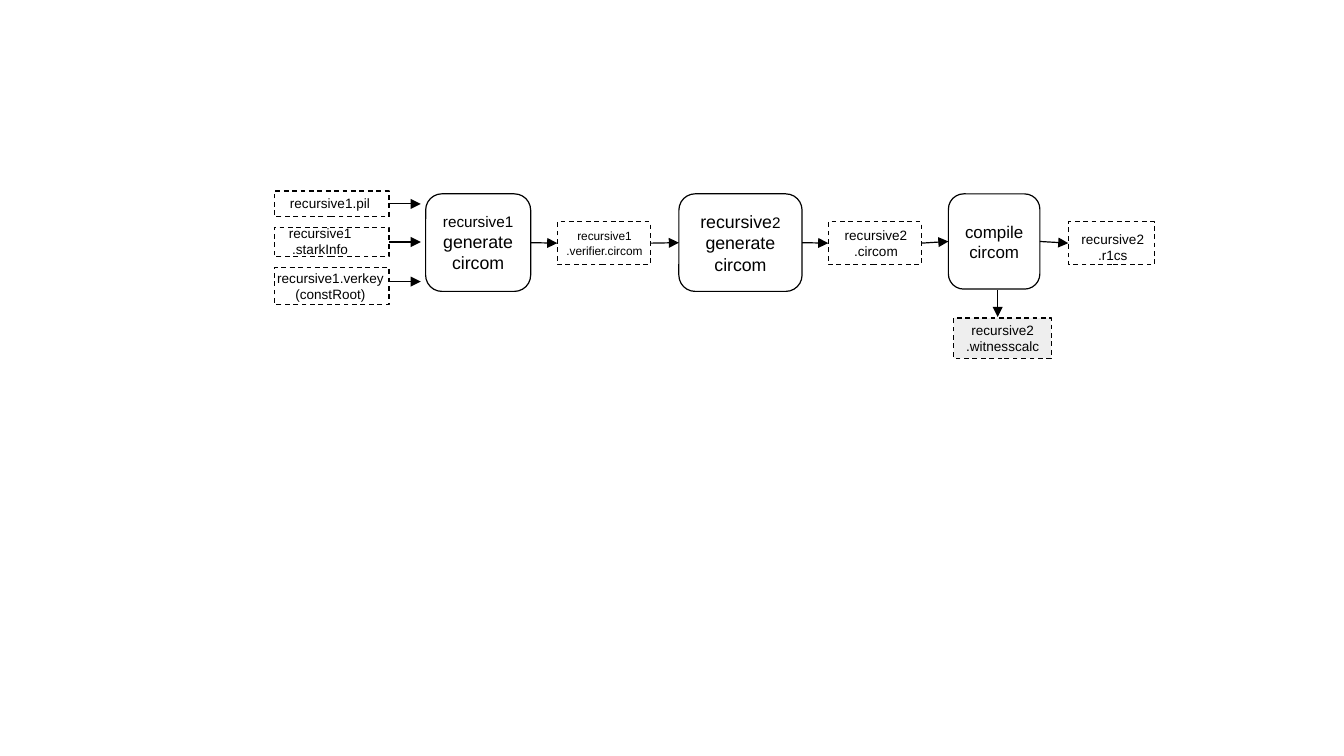
from lxml.etree import SubElement
from pptx import Presentation
from pptx.dml.color import RGBColor
from pptx.enum.dml import MSO_LINE
from pptx.enum.shapes import MSO_CONNECTOR, MSO_SHAPE
from pptx.enum.text import MSO_ANCHOR, PP_ALIGN
from pptx.oxml.ns import qn
from pptx.util import Pt

LEFT, RIGHT = 1, 3
STEP_TOP = 114.5
LABEL_MARGIN = 7.2


def color(value):
    return RGBColor.from_string(value)


def write(box, lines):
    frame = box.text_frame
    frame.word_wrap = True
    frame.vertical_anchor = MSO_ANCHOR.MIDDLE
    for index, (text, size) in enumerate(lines):
        para = frame.paragraphs[0] if index == 0 else frame.add_paragraph()
        para.alignment = PP_ALIGN.CENTER
        para.font.name = "Arial"
        para.font.size = Pt(size)
        para.font.color.rgb = color("000000")
        para.add_run().text = text


def outlined(page, preset, area, fill=None):
    box = page.shapes.add_shape(preset, *map(Pt, area))
    box.shadow.inherit = False
    if fill:
        box.fill.solid()
        box.fill.fore_color.rgb = color(fill)
    else:
        box.fill.background()
    box.line.color.rgb = color("000000")
    box.line.width = Pt(0.71)
    return box


def step(page, left, width, height, lines):
    area = (left, STEP_TOP, width, height)
    box = outlined(page, MSO_SHAPE.ROUNDED_RECTANGLE, area, "FFFFFF")
    write(box, lines)
    return box


def file_box(page, area, lines, size=8, shift=(0, 0), fill=None):
    box = outlined(page, MSO_SHAPE.RECTANGLE, area, fill)
    box.line.dash_style = MSO_LINE.DASH
    left, top, width, height = area
    label = page.shapes.add_textbox(
        Pt(left + shift[0] - LABEL_MARGIN), Pt(top + shift[1]),
        Pt(width + 2 * LABEL_MARGIN), Pt(height))
    write(label, [(text, size) for text in lines])
    return box


def arrow(page, start, end):
    link = page.shapes.add_connector(
        MSO_CONNECTOR.STRAIGHT, *map(Pt, start + end))
    link.line.color.rgb = color("000000")
    link.line.width = Pt(0.71)
    SubElement(link.line._get_or_add_ln(), qn("a:tailEnd"), type="triangle")
    SubElement(link._element.spPr, qn("a:effectLst"))
    return link


def inputs(page, left, width):
    rows = [
        (112.8, 15.2, ["recursive1.pil"], (-1, -0.7), 120.4),
        (134.1, 17.6, ["recursive1", ".starkInfo"], (-6.8, -0.7), 142.9),
        (158.1, 21.6, ["recursive1.verkey", "(constRoot)"], (-0.7, 0), 166.3),
    ]
    right = left + width
    for top, height, lines, shift, level in rows:
        box = file_box(page, (left, top, width, height), lines, shift=shift)
        link = arrow(page, (right, level), (248.4, level))
        if abs(top + height / 2 - level) < 0.1:
            link.begin_connect(box, RIGHT)


def pipeline(page):
    top, height = 131, 25.2
    chain = [
        step(page, 251.3, 62, 57.6,
             [("recursive1", 9), ("generate", 10.5), ("circom", 10.5)]),
        file_box(page, (329, top, 54.9, height),
                 ["recursive1", ".verifier.circom"], 7, (0.4, 0)),
        step(page, 400.8, 72.7, 57.6,
             [("recursive", 10.5), ("generate", 10.5), ("circom", 10.5)]),
        file_box(page, (489, top, 54.9, height),
                 ["recursive2", ".circom"], shift=(0.7, 0)),
        step(page, 559.9, 54, 56.2, [("compile", 10), ("circom", 10)]),
        file_box(page, (630.7, top, 51.1, height),
                 ["recursive2", ".r1cs"], shift=(0.7, 2.2)),
    ]
    digit = chain[2].text_frame.paragraphs[0].add_run()
    digit.text = "2"
    digit.font.size = Pt(9)
    for source, target in zip(chain, chain[1:]):
        link = arrow(page, (0, 0), (0, 0))
        link.begin_connect(source, RIGHT)
        link.end_connect(target, LEFT)


def witness(page):
    file_box(page, (563, 187.8, 57.6, 23.8),
             ["recursive2", ".witnesscalc"], shift=(0.2, 0), fill="EEEEEE")
    arrow(page, (589, 171.4), (589, 187.2))


def main():
    deck = Presentation()
    deck.slide_width, deck.slide_height = Pt(793.44), Pt(446.4)
    page = deck.slides.add_slide(deck.slide_layouts[6])
    inputs(page, 162, 67.7)
    pipeline(page)
    witness(page)
    deck.save("out.pptx")


if __name__ == "__main__":
    main()
